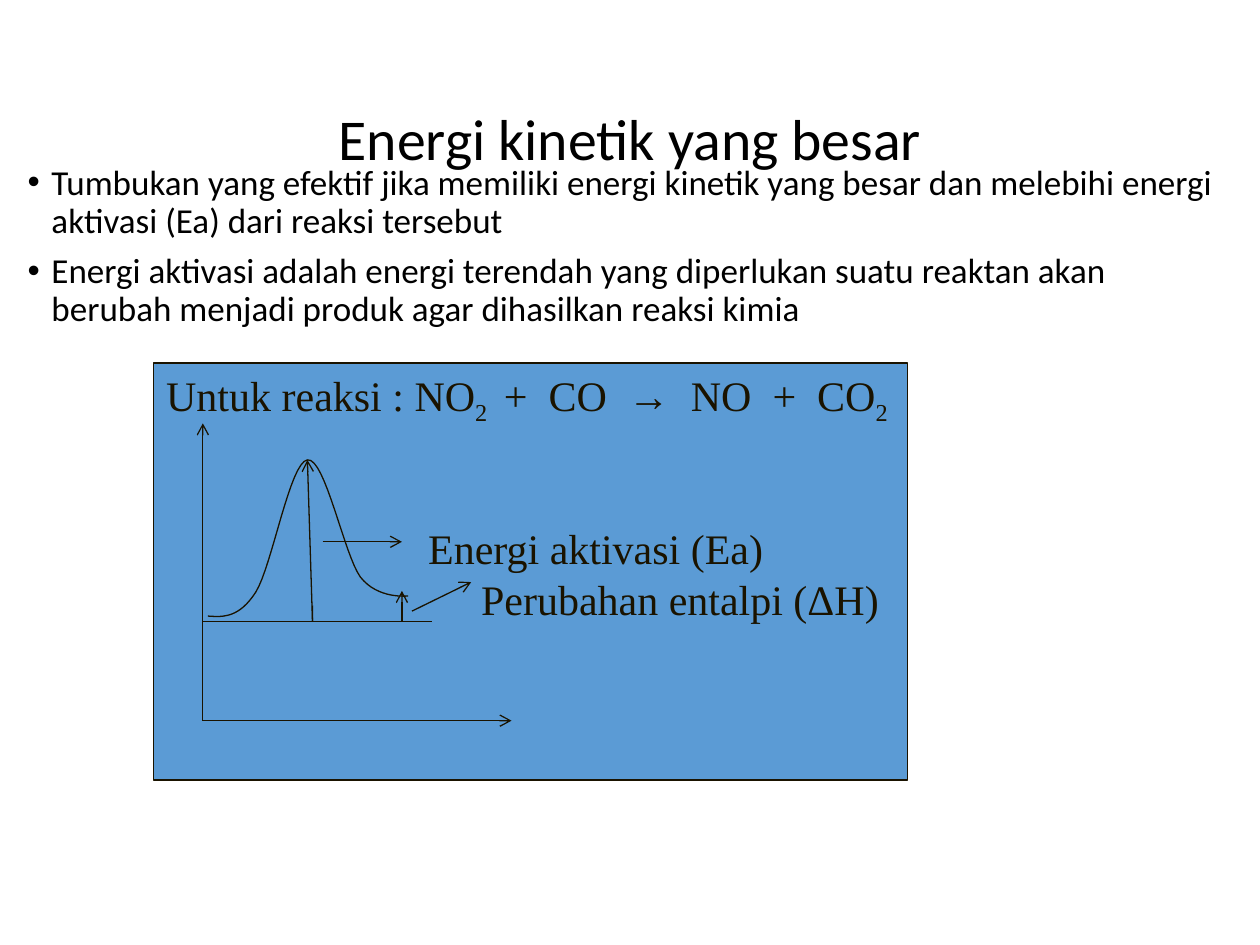
from lxml import etree
from pptx import Presentation
from pptx.dml.color import RGBColor
from pptx.enum.shapes import MSO_CONNECTOR, MSO_SHAPE
from pptx.enum.text import MSO_ANCHOR, PP_ALIGN
from pptx.oxml.ns import qn
from pptx.util import Inches, Pt

STRAIGHT = MSO_CONNECTOR.STRAIGHT
RECTANGLE = MSO_SHAPE.RECTANGLE
TOP, MIDDLE = MSO_ANCHOR.TOP, MSO_ANCHOR.MIDDLE
LEFT, CENTER = PP_ALIGN.LEFT, PP_ALIGN.CENTER

COLORS = {"text": "000000", "panel": "5B9BD5", "ink": "1A1300"}
CURVE_STEPS = 16

TITLE = "Energi kinetik yang besar"
POINTS = [
    "Tumbukan yang efektif jika memiliki energi kinetik yang besar dan "
    "melebihi energi aktivasi (Ea) dari reaksi tersebut",
    "Energi aktivasi adalah energi terendah yang diperlukan suatu reaktan "
    "akan berubah menjadi produk agar dihasilkan reaksi kimia",
]
# Text and whether it is a subscript
REACTION = [("Untuk reaksi : NO", False), ("2 ", True),
            (" +  CO  →  NO  +  CO", False), ("2", True)]
# Text, left indent in inches, space before in points
LABELS = [("Energi aktivasi (Ea)", 2.08, 55),
          ("Perubahan entalpi (ΔH)", 2.5, 0)]

# Energy profile: start point, then two controls and an end for each curve
PROFILE_START = (1.65, 4.89)
PROFILE_CURVES = [
    ((1.78, 4.9), (1.9, 4.9), (2.03, 4.7)),
    ((2.16, 4.49), (2.3, 3.67), (2.44, 3.65)),
    ((2.58, 3.63), (2.73, 4.4), (2.86, 4.58)),
    ((3, 4.76), (3.24, 4.73), (3.24, 4.73)),
]
ORIGIN = (1.61, 5.72)
BASE = 4.93


def color(name):
    return RGBColor.from_string(COLORS[name])


def style_line(shape):
    shape.line.color.rgb = color("ink")
    shape.line.width = Pt(0.75)


def style_panel(shape):
    shape.shadow.inherit = False
    shape.fill.solid()
    shape.fill.fore_color.rgb = color("panel")
    style_line(shape)


def set_frame(shape, anchor):
    frame = shape.text_frame
    for name, value in {"word_wrap": True, "vertical_anchor": anchor}.items():
        setattr(frame, name, value)
    return frame


def add_para(frame, first, **format_values):
    para = frame.paragraphs[0] if first else frame.add_paragraph()
    for name, value in format_values.items():
        setattr(para, name, value)
    return para


def add_span(para, text, size, font, color_name, subscript=False):
    span = para.add_run()
    span.text = text
    for name, value in {"size": Pt(size), "name": font}.items():
        setattr(span.font, name, value)
    span.font.color.rgb = color(color_name)
    if subscript:
        span.font._element.set("baseline", "-25000")


def set_indent(para, left, hanging=0):
    properties = para._p.get_or_add_pPr()
    properties.set("marL", str(Inches(left)))
    properties.set("indent", str(-Inches(hanging)))
    return properties


def add_title(page):
    box = page.shapes.add_textbox(Inches(0.69), Inches(0.4), Inches(8.62), Inches(1.45))
    para = add_para(set_frame(box, MIDDLE), True, alignment=CENTER, line_spacing=0.9)
    add_span(para, TITLE, 33, "Calibri", "text")


def add_points(page):
    box = page.shapes.add_textbox(Inches(0.12), Inches(1.26), Inches(9.61), Inches(4.59))
    frame = set_frame(box, TOP)
    for index, text in enumerate(POINTS):
        para = add_para(frame, index == 0, line_spacing=0.9,
                        space_before=Pt(7.5 if index else 0))
        properties = set_indent(para, 0.19, 0.19)
        etree.SubElement(properties, qn("a:buFont")).set("typeface", "Arial")
        etree.SubElement(properties, qn("a:buChar")).set("char", "•")
        add_span(para, text, 20, "Calibri", "text")


def add_panel(page):
    panel = page.shapes.add_shape(RECTANGLE, Inches(1.22), Inches(2.88),
                                  Inches(5.98), Inches(3.31))
    style_panel(panel)
    frame = set_frame(panel, TOP)
    para = add_para(frame, True, alignment=LEFT)
    for text, subscript in REACTION:
        add_span(para, text, 24, "Times New Roman", "ink", subscript)
    for text, indent, gap in LABELS:
        para = add_para(frame, False, alignment=LEFT, space_before=Pt(gap))
        set_indent(para, indent)
        add_span(para, text, 24, "Times New Roman", "ink")


def add_line(page, start, end, arrow=True):
    line = page.shapes.add_connector(STRAIGHT, *map(Inches, start + end))
    style_line(line)
    if arrow:
        etree.SubElement(line.line._get_or_add_ln(), qn("a:tailEnd")).set("type", "arrow")
    etree.SubElement(line._element.spPr, qn("a:effectLst"))


def curve_point(points, t):
    weights = ((1 - t) ** 3, 3 * t * (1 - t) ** 2, 3 * t * t * (1 - t), t ** 3)
    return tuple(Inches(sum(w * p[axis] for w, p in zip(weights, points)))
                 for axis in (0, 1))


def add_profile(page):
    outline = []
    start = PROFILE_START
    for curve in PROFILE_CURVES:
        outline += [curve_point((start,) + curve, step / CURVE_STEPS)
                    for step in range(1, CURVE_STEPS + 1)]
        start = curve[-1]
    builder = page.shapes.build_freeform(*map(Inches, PROFILE_START))
    builder.add_line_segments(outline, close=False)
    style_panel(builder.convert_to_shape())


def main():
    deck = Presentation()
    deck.slide_width, deck.slide_height = Inches(10), Inches(7.5)
    page = deck.slides.add_slide(deck.slide_layouts[6])

    # Heading and explanation
    add_title(page)
    add_points(page)

    # Diagram panel, axes and reactant level
    add_panel(page)
    add_line(page, ORIGIN, (ORIGIN[0], 3.36))
    add_line(page, ORIGIN, (4.06, ORIGIN[1]))
    add_line(page, (2.48, BASE), (2.49, 3.73))
    add_line(page, (ORIGIN[0], BASE), (3.43, BASE), arrow=False)

    # Energy profile with its activation energy and enthalpy arrows
    add_profile(page)
    add_line(page, (2.48, BASE), (2.44, 3.65))
    add_line(page, (2.56, 4.3), (3.19, 4.3))
    add_line(page, (3.19, BASE), (3.19, 4.69))
    add_line(page, (3.27, 4.85), (3.74, 4.62))

    deck.save("out.pptx")


if __name__ == "__main__":
    main()
